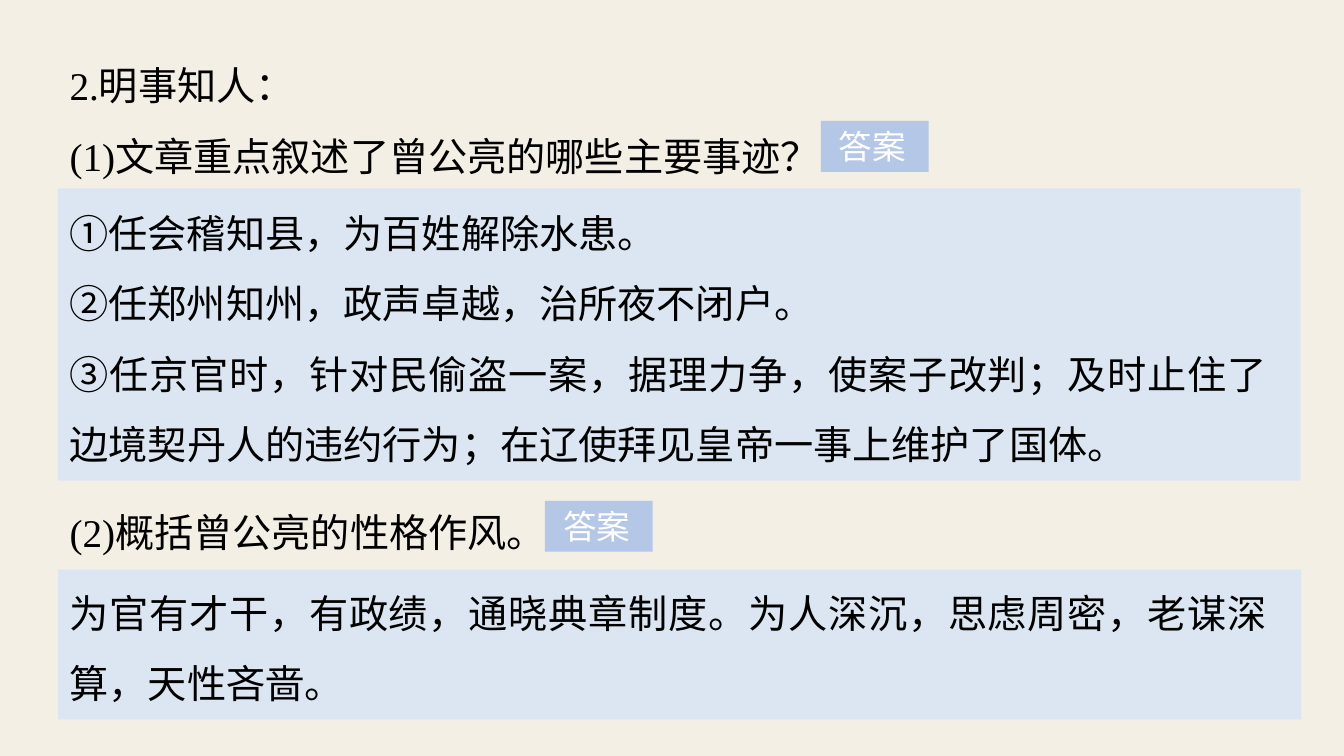
from dataclasses import dataclass

from pptx import Presentation
from pptx.dml.color import RGBColor
from pptx.enum.shapes import MSO_SHAPE as Shape
from pptx.enum.text import MSO_ANCHOR as Anchor, PP_ALIGN as Align
from pptx.util import Pt


@dataclass(frozen=True)
class Theme:
    paper: str = "F3EFE5"
    panel: str = "DCE6F2"
    tag: str = "B4C7E7"
    ink: str = "000000"
    tag_ink: str = "FFFFFF"
    body_size: int = 28
    tag_size: int = 24
    body_font: str = "Times New Roman"
    number_font: str = "Noto Sans CJK SC"
    tag_font: str = "Arial"


THEME = Theme()
NUMBERS = "①②③"
TEXT_LEFT = 40.3
QUESTION_WIDTH = 883.4
ANSWER_WIDTH = 874.8
PANEL_WIDTH = 887.8


def set_frame(frame, **values):
    for key, value in values.items():
        setattr(frame, key, value)


def add_run(paragraph, text, font, size, color):
    run = paragraph.add_run()
    run.text = text
    run.font.name = font
    run.font.size = Pt(size)
    run.font.color.rgb = RGBColor.from_string(color)


def add_block(slide, left, top, width, height, color):
    block = slide.shapes.add_shape(
        Shape.RECTANGLE, Pt(left), Pt(top), Pt(width), Pt(height))
    block.shadow.inherit = False
    block.fill.solid()
    block.fill.fore_color.rgb = RGBColor.from_string(color)
    block.line.fill.background()
    return block


def add_passage(slide, top, width, height, lines):
    passage = slide.shapes.add_textbox(
        Pt(TEXT_LEFT), Pt(top), Pt(width), Pt(height))
    frame = passage.text_frame
    set_frame(frame, word_wrap=True, margin_left=Pt(9.4), margin_right=Pt(9.4),
              margin_top=Pt(5), margin_bottom=Pt(5))
    for index, line in enumerate(lines):
        paragraph = frame.paragraphs[0] if index == 0 else frame.add_paragraph()
        paragraph.alignment = Align.JUSTIFY
        paragraph.line_spacing = 1.5
        if line[0] in NUMBERS:
            add_run(paragraph, line[0], THEME.number_font, THEME.body_size, THEME.ink)
            line = line[1:]
        add_run(paragraph, line, THEME.body_font, THEME.body_size, THEME.ink)


def add_answer_tag(slide, left, top):
    tag = add_block(slide, left, top, 77, 36.3, THEME.tag)
    set_frame(tag.text_frame, word_wrap=True, vertical_anchor=Anchor.MIDDLE,
              margin_left=Pt(13), margin_right=Pt(7.2),
              margin_top=Pt(3.6), margin_bottom=Pt(3.6))
    label = tag.text_frame.paragraphs[0]
    label.alignment = Align.LEFT
    add_run(label, "答案", THEME.tag_font, THEME.tag_size, THEME.tag_ink)


def main():
    deck = Presentation()
    deck.slide_width, deck.slide_height = Pt(960), Pt(540)
    slide = deck.slides.add_slide(deck.slide_layouts[6])
    slide.background.fill.solid()
    slide.background.fill.fore_color.rgb = RGBColor.from_string(THEME.paper)

    add_passage(slide, 22.3, QUESTION_WIDTH, 105, [
        "2.明事知人：",
        "(1)文章重点叙述了曾公亮的哪些主要事迹？",
    ])
    add_block(slide, 41.3, 134.6, PANEL_WIDTH, 208.8, THEME.panel)
    add_passage(slide, 127.4, ANSWER_WIDTH, 206.6, [
        "①任会稽知县，为百姓解除水患。",
        "②任郑州知州，政声卓越，治所夜不闭户。",
        "③任京官时，针对民偷盗一案，据理力争，使案子改判；及时止住了"
        "边境契丹人的违约行为；在辽使拜见皇帝一事上维护了国体。",
    ])
    add_answer_tag(slide, 586.3, 86.4)

    add_passage(slide, 341.3, QUESTION_WIDTH, 54, ["(2)概括曾公亮的性格作风。"])
    add_block(slide, 41.6, 406.8, PANEL_WIDTH, 107, THEME.panel)
    add_passage(slide, 398.9, ANSWER_WIDTH, 105, [
        "为官有才干，有政绩，通晓典章制度。为人深沉，思虑周密，老谋深算，天性吝啬。",
    ])
    add_answer_tag(slide, 389.3, 357.8)

    deck.save("out.pptx")


if __name__ == "__main__":
    main()
